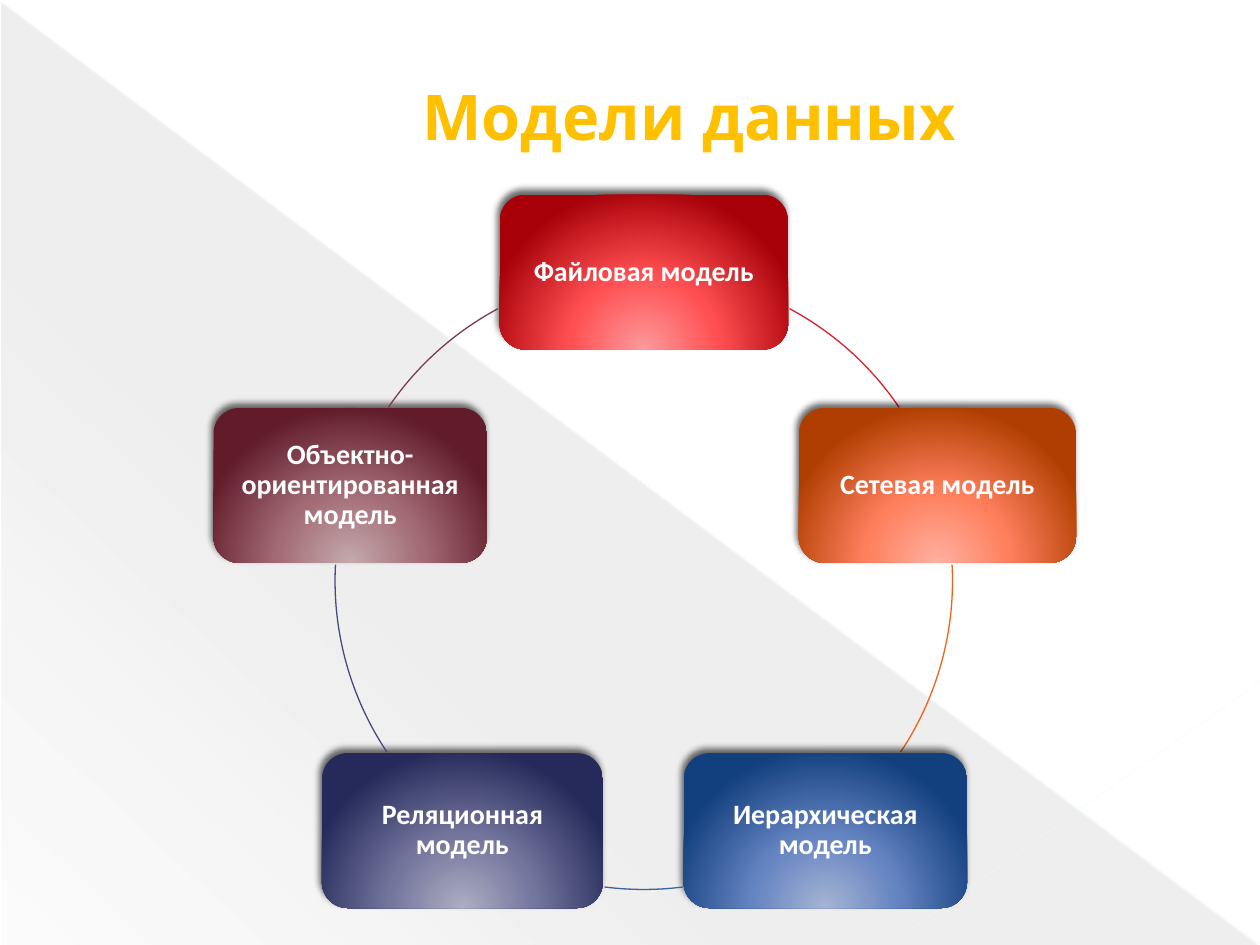
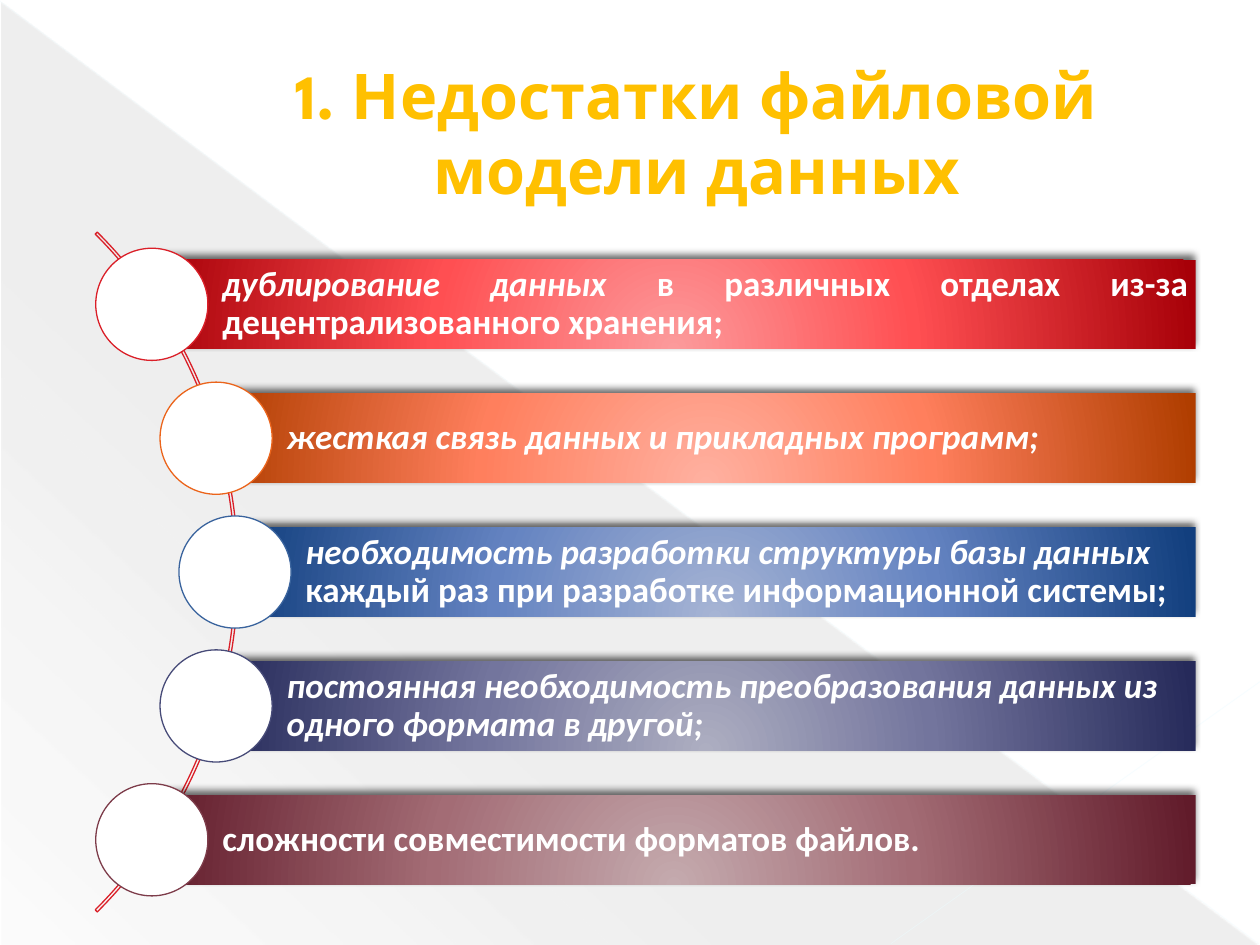
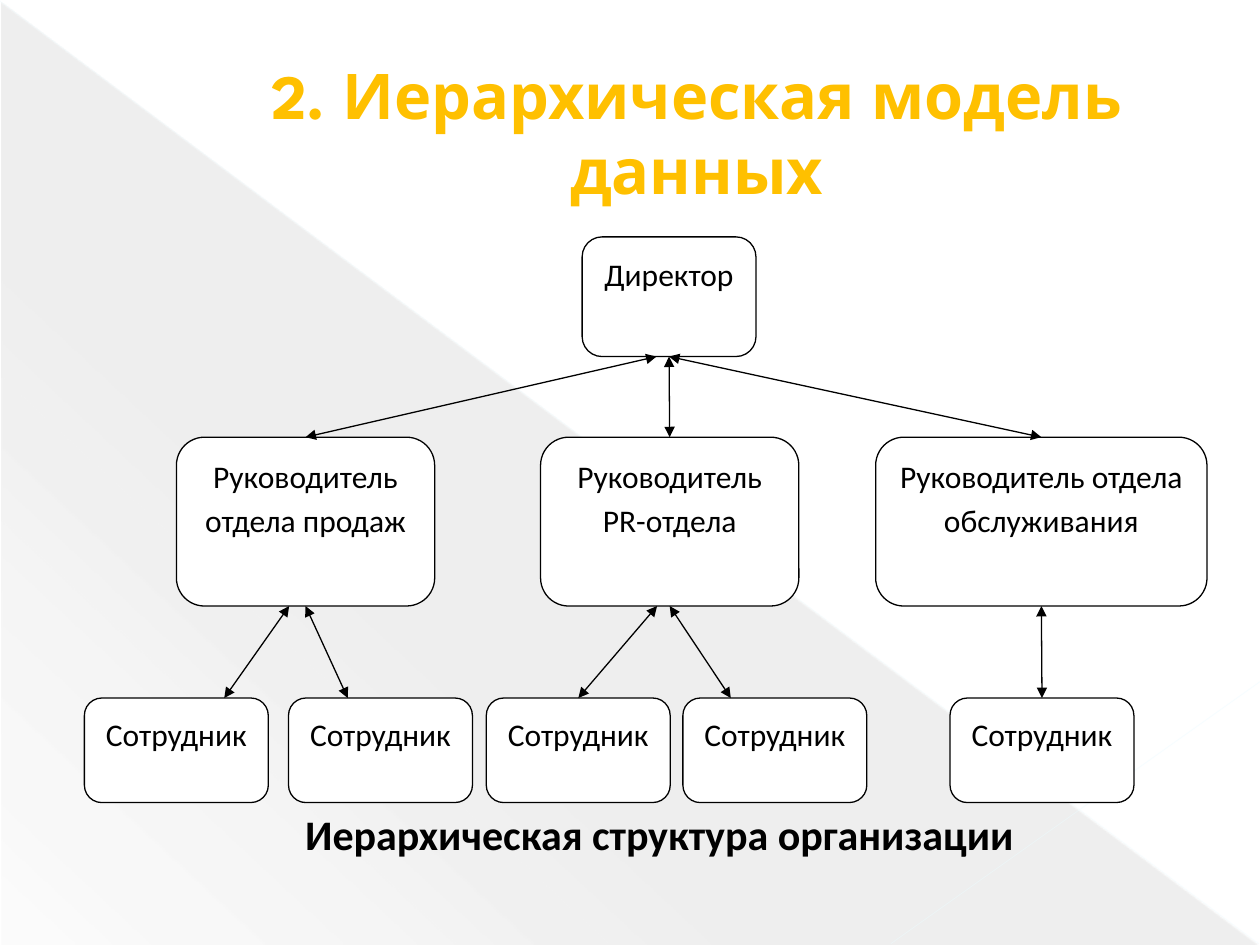
from dataclasses import dataclass
from math import cos, radians, sin

from lxml import etree
from pptx import Presentation
from pptx.dml.color import RGBColor
from pptx.enum.shapes import MSO_CONNECTOR, MSO_SHAPE
from pptx.enum.text import MSO_ANCHOR, PP_ALIGN
from pptx.oxml import parse_xml
from pptx.oxml.ns import nsdecls, qn
from pptx.util import Inches, Pt

ROUNDED = MSO_SHAPE.ROUNDED_RECTANGLE
RECTANGLE = MSO_SHAPE.RECTANGLE
OVAL = MSO_SHAPE.OVAL
ARC = MSO_SHAPE.ARC
BLOCK_ARC = MSO_SHAPE.BLOCK_ARC
TRIANGLE = MSO_SHAPE.RIGHT_TRIANGLE
STRAIGHT = MSO_CONNECTOR.STRAIGHT
CENTER, LEFT, JUSTIFY = PP_ALIGN.CENTER, PP_ALIGN.LEFT, PP_ALIGN.JUSTIFY
TOP, MIDDLE = MSO_ANCHOR.TOP, MSO_ANCHOR.MIDDLE
TOP_SITE, BOTTOM_SITE = 0, 2

COLUMNS, ROWS = 100, 75
TITLE_ONLY = 5


@dataclass(frozen=True)
class Accent:
    line: str
    light: str
    middle: str
    dark: str


@dataclass(frozen=True)
class Theme:
    title_font: str = "League Spartan"
    body_font: str = "Calibri"
    title_color: str = "FFC000"
    white: str = "FFFFFF"
    black: str = "000000"
    shade: str = "464646"
    title_size: int = 36
    caption_size: int = 24
    list_size: int = 20
    chart_size: int = 18
    node_size: int = 16
    line_width: float = 0.75
    accents: tuple = (
        Accent("DA1F28", "FC9A9B", "FF4F52", "A70008"),
        Accent("EB641B", "FFB0A0", "FF7F5D", "B03E00"),
        Accent("39639D", "A6B4D4", "6483C1", "123F7E"),
        Accent("474B78", "ADAEC1", "73759D", "262A5A"),
        Accent("7D3C4A", "C4AAAE", "A36C75", "611B2A"),
    )


THEME = Theme()


@dataclass(frozen=True)
class Box:
    left: float
    top: float
    width: float
    height: float

    def area(self, left, top, width, height):
        return Box(self.left + left, self.top + top, width, height)

    @property
    def center(self):
        return self.left + self.width / 2, self.top + self.height / 2


PAGE = Box(0, 0, COLUMNS, ROWS)
TITLE_BOX = PAGE.area(9.7, 3.6, 85.9, 13.7)


def cells(count):
    return Inches(count / 10)


def frame(box):
    return [cells(value) for value in (box.left, box.top, box.width, box.height)]


def move(shape, box):
    shape.left, shape.top, shape.width, shape.height = frame(box)


def rgb(color):
    return RGBColor.from_string(color)


def add_figure(page, preset, box, fill=None, line=None, adjustments=()):
    shape = page.shapes.add_shape(preset, *frame(box))
    shape.shadow.inherit = False
    for index, value in enumerate(adjustments):
        shape.adjustments[index] = value
    if fill:
        shape.fill.solid()
        shape.fill.fore_color.rgb = rgb(fill)
    else:
        shape.fill.background()
    if line:
        shape.line.color.rgb = rgb(line)
        shape.line.width = Pt(THEME.line_width)
    else:
        shape.line.fill.background()
    return shape


def add_line(page, start, end, color, width):
    line = page.shapes.add_connector(STRAIGHT, *map(cells, (*start, *end)))
    line.line.color.rgb = rgb(color)
    line.line.width = Pt(width)
    etree.SubElement(line.element.spPr, qn("a:effectLst"))
    return line


def set_gradient(shape, stops, direction):
    shape.fill.gradient()
    stop_xml = "".join(
        f'<a:gs pos="{position * 1000}"><a:srgbClr val="{color}">'
        f'<a:alpha val="{alpha * 1000}"/></a:srgbClr></a:gs>'
        for position, color, alpha in stops
    )
    properties = shape.element.spPr
    properties.replace(
        properties.find(qn("a:gradFill")),
        parse_xml(
            f'<a:gradFill {nsdecls("a")} rotWithShape="1">'
            f"<a:gsLst>{stop_xml}</a:gsLst>{direction}</a:gradFill>"
        ),
    )


def add_glossy(page, preset, box, accent):
    shape = add_figure(page, preset, box)
    set_gradient(
        shape,
        [(0, accent.light, 100), (46, accent.middle, 100), (100, accent.dark, 100)],
        '<a:path path="circle">'
        '<a:fillToRect l="50000" t="155000" r="50000" b="-55000"/></a:path>',
    )
    shape.element.spPr.find(qn("a:effectLst")).append(
        parse_xml(
            f'<a:outerShdw {nsdecls("a")} blurRad="{Pt(4)}" dist="{Pt(3)}" '
            f'dir="{245 * 60000}" algn="ctr" rotWithShape="0">'
            f'<a:srgbClr val="{THEME.black}"><a:alpha val="60000"/></a:srgbClr>'
            "</a:outerShdw>"
        )
    )
    return shape


def style(para, size, color, bold=False, align=CENTER, font=THEME.body_font):
    para.alignment = align
    para.font.name = font
    para.font.size = Pt(size)
    para.font.bold = bold
    para.font.color.rgb = rgb(color)


def set_margins(text, left, other):
    text.word_wrap = True
    text.margin_left = Inches(left)
    text.margin_top = text.margin_right = text.margin_bottom = Inches(other)


def build_backdrop(deck, page):
    triangle = add_figure(page, TRIANGLE, PAGE.area(0.1, 0.2, 99.8, 74.8))
    set_gradient(
        triangle,
        [(0, THEME.shade, 10), (70, THEME.shade, 8), (100, THEME.shade, 1)],
        f'<a:lin ang="{133 * 60000}" scaled="0"/>',
    )
    pieces = [triangle]
    for start, end, color, width, alpha in (
        ((0, 0.1), (99.9, 74.9), "EBFBFF", 0.39, 35),
        ((COLUMNS, 54.1), (70.7, 74.9), "EDFCFF", 0.47, 45),
    ):
        line = add_line(page, start, end, color, width)
        tint = line.element.spPr.find(".//" + qn("a:srgbClr"))
        etree.SubElement(tint, qn("a:alpha")).set("val", str(alpha * 1000))
        pieces.append(line)
    tree = deck.slide_master.shapes.element
    for index, piece in enumerate(pieces):
        piece.element.find(".//" + qn("p:cNvPr")).set("id", str(100 + index))
        tree.insert(2 + index, piece.element)


def add_page(deck, title, box=TITLE_BOX):
    page = deck.slides.add_slide(deck.slide_layouts[TITLE_ONLY])
    heading = page.shapes.title
    move(heading, box)
    text = heading.text_frame
    text.text = title
    text.vertical_anchor = MIDDLE
    text.margin_left = Inches(0.63)
    style(text.paragraphs[0], THEME.title_size, THEME.title_color, True,
          font=THEME.title_font)
    return page


def build_ring(page, box):
    nodes = (
        ("Файловая модель", 22.9),
        ("Сетевая модель", 22),
        ("Иерархическая модель", 22.5),
        ("Реляционная модель", 22.3),
        ("Объектно-ориентированная модель", 21.7),
    )
    arcs = ((298.2, 325.8), (357, 33.7), (82.7, 97.3), (146.3, 183), (214.2, 241.8))
    height = 12.3
    radius = box.width / 2
    middle_x, middle_y = box.center
    for index, ((label, width), arc, accent) in enumerate(
        zip(nodes, arcs, THEME.accents)
    ):
        angle = radians(360 / len(nodes) * index - 90)
        node_box = Box(
            middle_x + radius * cos(angle) - width / 2,
            middle_y + radius * sin(angle) - height / 2,
            width,
            height,
        )
        node = add_glossy(page, ROUNDED, node_box, accent)
        text = node.text_frame
        set_margins(text, 0.13, 0.13)
        text.vertical_anchor = MIDDLE
        text.text = label
        para = text.paragraphs[0]
        style(para, THEME.node_size, THEME.white, True)
        para.line_spacing = 0.9
        add_figure(page, ARC, box, line=accent.line,
                   adjustments=[degrees * 0.6 for degrees in arc])


def build_curved_list(page, box):
    items = (
        (0, JUSTIFY, "дублирование данных",
         " в различных отделах из-за децентрализованного хранения;"),
        (5.1, LEFT, "жесткая связь данных и прикладных программ;", ""),
        (6.6, LEFT, "необходимость разработки структуры базы данных",
         " каждый раз при разработке информационной системы;"),
        (5.1, LEFT,
         "постоянная необходимость преобразования данных из одного формата в другой;",
         ""),
        (0, LEFT, "", "сложности совместимости форматов файлов."),
    )
    curve, dot, bar_height = 76.3, 8.9, 7.1
    pitch = (box.height - dot) / (len(items) - 1)
    add_figure(page, BLOCK_ARC,
               box.area(11.3 - curve, (box.height - curve) / 2, curve, curve),
               line=THEME.accents[0].line,
               adjustments=(315 * 0.6, 45 * 0.6, 0.003))
    for index, ((offset, align, slanted, upright), accent) in enumerate(
        zip(items, THEME.accents)
    ):
        top = index * pitch
        bar_left = offset + dot / 2
        bar = add_glossy(
            page, RECTANGLE,
            box.area(bar_left, top + (dot - bar_height) / 2,
                     box.width - bar_left, bar_height),
            accent)
        text = bar.text_frame
        set_margins(text, 0.56, 0.06)
        text.vertical_anchor = MIDDLE
        para = text.paragraphs[0]
        style(para, THEME.list_size, THEME.white, True, align)
        para.line_spacing = 0.9
        for words, italic in ((slanted, True), (upright, False)):
            if words:
                span = para.add_run()
                span.text = words
                span.font.italic = italic
        add_figure(page, OVAL, box.area(offset, top, dot, dot),
                   THEME.white, accent.line)


def add_post(page, box, label):
    post = add_figure(page, ROUNDED, box, THEME.white, THEME.black)
    text = post.text_frame
    text.word_wrap = True
    text.vertical_anchor = TOP
    text.text = label
    para = text.paragraphs[0]
    style(para, THEME.chart_size, THEME.black)
    para.line_spacing = 1.15
    para.space_after = Pt(10)
    return post, box


def link_posts(page, upper, upper_shift, lower, lower_shift):
    upper_post, upper_box = upper
    lower_post, lower_box = lower
    start = upper_box.center[0] + upper_shift, upper_box.top + upper_box.height
    end = lower_box.center[0] + lower_shift, lower_box.top
    link = add_line(page, start, end, THEME.black, THEME.line_width)
    if not upper_shift:
        link.begin_connect(upper_post, BOTTOM_SITE)
    if not lower_shift:
        link.end_connect(lower_post, TOP_SITE)
    outline = link.element.spPr.find(qn("a:ln"))
    for tag in ("a:headEnd", "a:tailEnd"):
        etree.SubElement(outline, qn(tag)).set("type", "triangle")


def build_hierarchy(page, box):
    director = add_post(page, box.area(39.5, 0, 13.8, 9.5), "Директор")
    managers = [
        add_post(page, box.area(left, 15.9, width, 13.4), label)
        for left, width, label in (
            (7.3, 20.5, "Руководитель отдела продаж"),
            (36.2, 20.5, "Руководитель PR-отдела"),
            (62.8, 26.3, "Руководитель отдела обслуживания"),
        )
    ]
    workers = [
        add_post(page, box.area(left, 36.6, 14.6, 8.3), "Сотрудник")
        for left in (0, 16.2, 31.9, 47.5, 68.7)
    ]
    sales, publicity, service = managers
    for upper, upper_shift, lower, lower_shift in (
        (director, -1, sales, 0),
        (director, 0, publicity, 0),
        (director, 0, service, 0),
        (sales, -1.3, workers[0], 3.8),
        (sales, 0, workers[1], -2.6),
        (publicity, -1, workers[2], 0),
        (publicity, 0, workers[3], -3.5),
        (service, 0, workers[4], 0),
    ):
        link_posts(page, upper, upper_shift, lower, lower_shift)


def build_caption(page, box, words):
    caption = page.shapes.add_textbox(*frame(box))
    text = caption.text_frame
    text.word_wrap = True
    text.text = words
    style(text.paragraphs[0], THEME.caption_size, THEME.black, True)


def main():
    deck = Presentation()
    deck.slide_width, deck.slide_height = cells(COLUMNS), cells(ROWS)

    models = add_page(deck, "Модели данных", PAGE.area(9.1, 2.3, 85.9, 13.7))
    build_backdrop(deck, models)
    build_ring(models, PAGE.area(26.6, 21.6, 49, 49))

    drawbacks = add_page(deck, "1. Недостатки файловой модели данных")
    build_curved_list(drawbacks, PAGE.area(7.6, 19.7, 87.3, 51.4))

    hierarchy = add_page(deck, "2. Иерархическая модель данных")
    build_caption(hierarchy, PAGE.area(16.5, 63.7, 71.7, 5),
                  "Иерархическая структура организации")
    build_hierarchy(hierarchy, PAGE.area(6.7, 18.8, 89.1, 44.9))

    deck.save("out.pptx")


if __name__ == "__main__":
    main()
